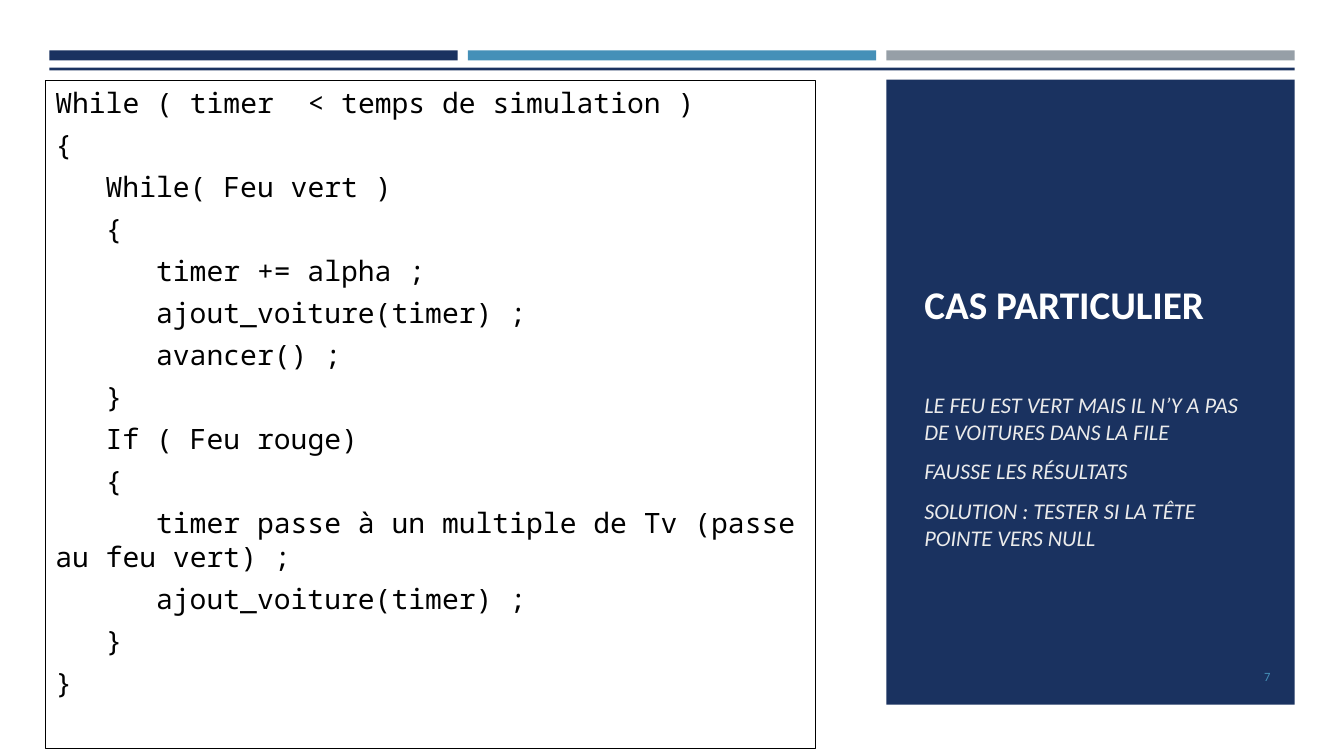
from pptx import Presentation
from pptx.dml.color import RGBColor
from pptx.enum import shapes, text
from pptx.util import Inches, Pt

COLORS = {"navy": "1A3260", "blue": "4590B8", "grey": "969FA7",
          "white": "FFFFFF", "pale": "EBEBEB", "black": "000000"}
TAB = 0.5  # inches per level of code

# Each line of code with its level
CODE = [
    (0, "While ( timer  < temps de simulation )"),
    (0, "{"),
    (1, "While( Feu vert )"),
    (1, "{"),
    (2, "timer += alpha ;"),
    (2, "ajout_voiture(timer) ;"),
    (2, "avancer() ;"),
    (1, "}"),
    (1, "If ( Feu rouge)"),
    (1, "{"),
    (2, "timer passe à un multiple de Tv (passe au feu vert) ;"),
    (2, "ajout_voiture(timer) ;"),
    (1, "}"),
    (0, "}"),
]
REMARKS = [
    "LE FEU EST VERT MAIS IL N’Y A PAS DE VOITURES DANS LA FILE",
    "FAUSSE LES RÉSULTATS",
    "SOLUTION : TESTER SI LA TÊTE POINTE VERS NULL",
]


def rgb(name):
    return RGBColor.from_string(COLORS[name])


def add_bar(page, box, color):
    bar = page.shapes.add_shape(shapes.MSO_SHAPE.RECTANGLE, *map(Inches, box))
    bar.shadow.inherit = False
    bar.fill.solid()
    bar.fill.fore_color.rgb = rgb(color)
    bar.line.fill.background()


def add_text(page, box, lines, size, color, font="Calibri", bold=False,
             italic=False, before=0, after=0,
             anchor=text.MSO_ANCHOR.TOP, align=text.PP_ALIGN.LEFT):
    """Write (level, words) lines, one paragraph each; levels indent line one."""
    frame_box = page.shapes.add_textbox(*map(Inches, box))
    frame = frame_box.text_frame
    frame.word_wrap = True
    frame.vertical_anchor = anchor
    for number, (level, words) in enumerate(lines):
        para = frame.add_paragraph() if number else frame.paragraphs[0]
        para.alignment = align
        para.space_before, para.space_after = Pt(before), Pt(after)
        if level:
            props = para._p.get_or_add_pPr()
            props.set("marL", "0")
            props.set("indent", str(Inches(level * TAB)))
        span = para.add_run()
        span.text = words
        span.font.name, span.font.size = font, Pt(size)
        span.font.bold, span.font.italic = bold, italic
        span.font.color.rgb = rgb(color)
    return frame_box


def add_header(page, left, top, width):
    """Three bars in equal columns above a thin rule."""
    bar_width, gap = 4.05, 0.1
    for column, color in enumerate(("navy", "blue", "grey")):
        add_bar(page, (left + column * (bar_width + gap), top, bar_width, 0.1), color)
    add_bar(page, (left, top + 0.17, width, 0.03), "navy")


def add_code(page, box):
    """Outlined pseudocode."""
    code = add_text(page, box, CODE, 20, "black", font="Noto Sans Mono", after=6)
    code.line.color.rgb = rgb("black")
    code.line.width = Pt(0.75)


def add_panel(page, left, top, width, height):
    """Navy panel with title, remarks and page number."""
    add_bar(page, (left, top, width, height), "navy")
    inner_left, inner_width = left + 0.28, 3.37
    title = add_text(page, (inner_left, top + 0.76, inner_width, 2.28),
                     [(0, "CAS PARTICULIER")], 28, "white", bold=True,
                     anchor=text.MSO_ANCHOR.BOTTOM)
    title.text_frame.margin_bottom = Inches(0.58)
    add_text(page, (inner_left, top + 3.04, inner_width, 1.9),
             [(0, remark) for remark in REMARKS], 16, "pale",
             italic=True, before=3.2, after=6)
    add_text(page, (left + width - 1.29, top + height - 0.48, 1.15, 0.4),
             [(0, "7")], 9, "blue",
             anchor=text.MSO_ANCHOR.MIDDLE, align=text.PP_ALIGN.RIGHT)


def main():
    deck = Presentation()
    deck.slide_width, deck.slide_height = Inches(13.33), Inches(7.5)
    page = deck.slides.add_slide(deck.slide_layouts[6])
    add_header(page, 0.49, 0.5, 12.35)
    add_panel(page, 8.79, 0.79, 4.05, 6.2)
    add_code(page, (0.45, 0.8, 7.64, 6.63))
    deck.save("out.pptx")


if __name__ == "__main__":
    main()
